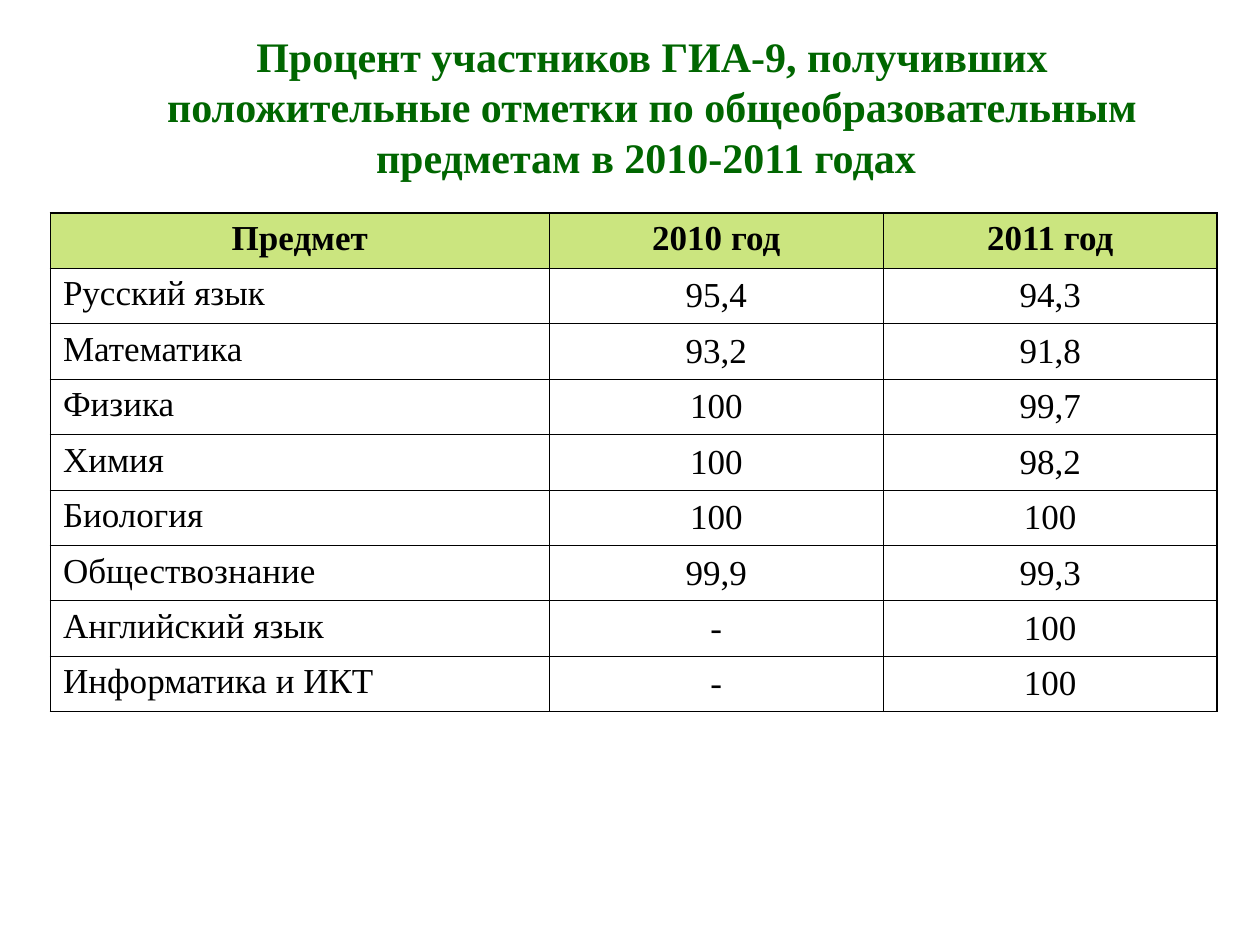
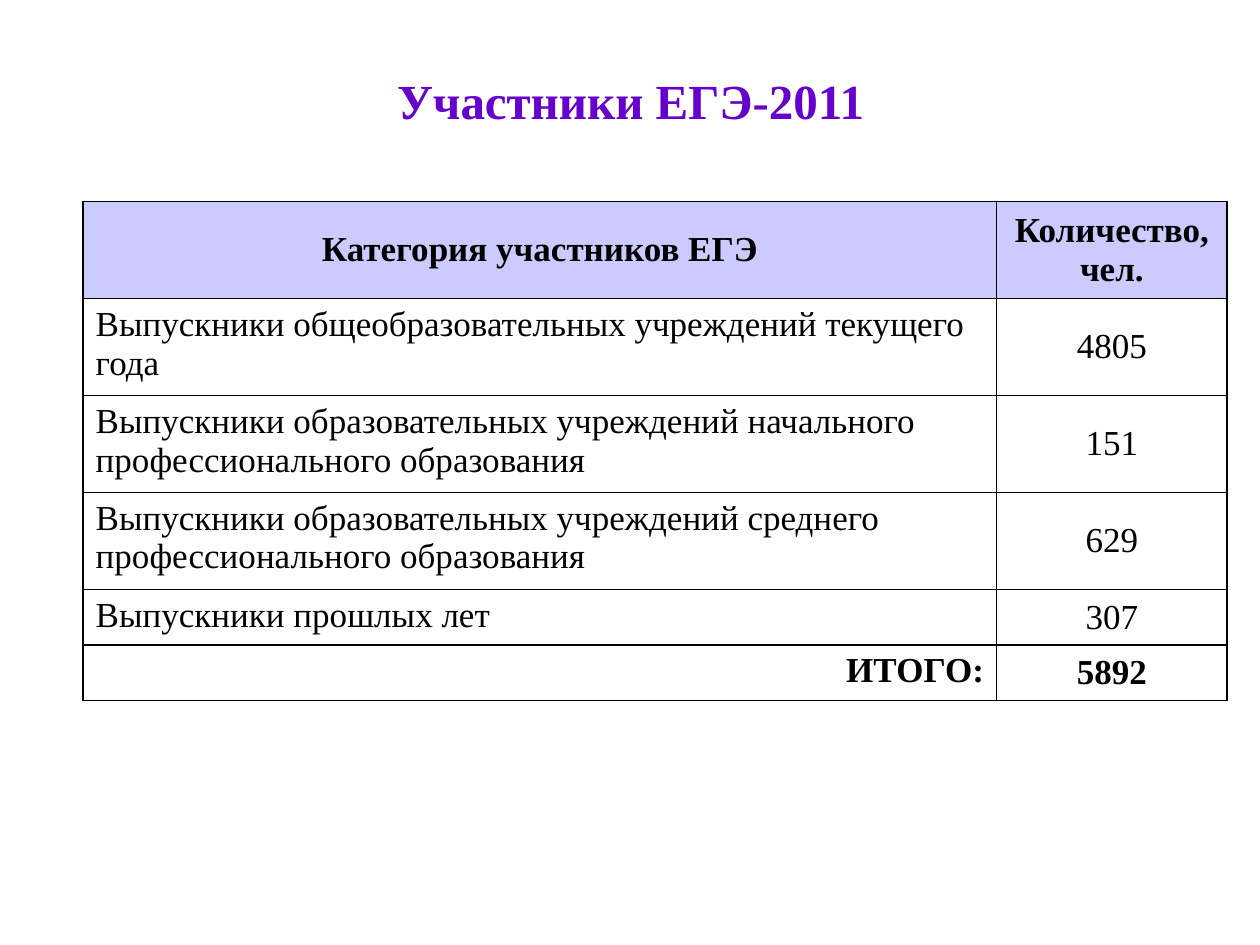
from lxml.etree import SubElement
from pptx import Presentation
from pptx.dml.color import RGBColor
from pptx.enum.text import MSO_ANCHOR, MSO_AUTO_SIZE, PP_ALIGN
from pptx.oxml.ns import qn
from pptx.util import Inches, Pt

SERIF, SANS = "Times New Roman", "DejaVu Sans"
BLACK, GREEN, NAVY, VIOLET = "000000", "006600", "333399", "6600CC"
LIME, LILAC = "99CC00", "9999FF"
THICK, THIN = 0.96, 0.45
LINE = 0.44
TALL = 0.77

MARKS = [
    ("Предмет", "2010 год", "2011 год"),
    ("Русский язык", "95,4", "94,3"),
    ("Математика", "93,2", "91,8"),
    ("Физика", "100", "99,7"),
    ("Химия", "100", "98,2"),
    ("Биология", "100", "100"),
    ("Обществознание", "99,9", "99,3"),
    ("Английский язык", "-", "100"),
    ("Информатика и ИКТ", "-", "100"),
]
COUNTS = [
    ("Категория участников ЕГЭ", "Количество, чел."),
    ("Выпускники общеобразовательных учреждений текущего года", "4805"),
    ("Выпускники образовательных учреждений начального профессионального образования", "151"),
    ("Выпускники образовательных учреждений среднего профессионального образования", "629"),
    ("Выпускники прошлых лет", "307"),
    ("ИТОГО:", "5892"),
]


def color(code):
    """Turn a hex string into a colour."""
    return RGBColor.from_string(code)


def write(para, text, size, tint=BLACK, bold=False, face=SERIF):
    """Add one styled run to a paragraph."""
    run = para.add_run()
    run.text = text
    font = run.font
    font.name, font.size, font.bold = face, Pt(size), bold
    font.color.rgb = color(tint)


def add_title(slide, box, runs, wrap=True):
    """Place a centred title made of styled runs."""
    frame = slide.shapes.add_textbox(*map(Inches, box)).text_frame
    frame.word_wrap = wrap
    frame.auto_size = MSO_AUTO_SIZE.SHAPE_TO_FIT_TEXT
    frame.vertical_anchor = MSO_ANCHOR.MIDDLE
    para = frame.paragraphs[0]
    para.alignment = PP_ALIGN.CENTER
    for run in runs:
        write(para, *run)


def add_edges(cell, edges):
    """Draw the borders of a cell from a map of side to width."""
    props = cell._tc.get_or_add_tcPr()
    for side, width in edges.items():
        line = SubElement(props, qn(f"a:ln{side}"), w=str(Pt(width)))
        fill = SubElement(line, qn("a:solidFill"))
        SubElement(fill, qn("a:srgbClr"), val=BLACK)


def paint(cell, tint):
    """Fill a cell with a half-transparent colour."""
    cell.fill.solid()
    cell.fill.fore_color.rgb = color(tint)
    tone = cell._tc.tcPr.find(f"{qn('a:solidFill')}/{qn('a:srgbClr')}")
    SubElement(tone, qn("a:alpha"), val="50000")


def add_grid(slide, left, top, data, widths, heights, tint,
             anchor=MSO_ANCHOR.TOP, total=False):
    """Place a ruled table with a tinted head and an optional total row."""
    rows, cols = len(data), len(widths)
    box = map(Inches, (left, top, sum(widths), sum(heights)))
    table = slide.shapes.add_table(rows, cols, *box).table
    table.first_row = table.horz_banding = False
    for col, width in zip(table.columns, widths):
        col.width = Inches(width)
    for row, height in zip(table.rows, heights):
        row.height = Inches(height)
    heavy = {0, rows, rows - 1} if total else {0, rows}
    for i, row in enumerate(data):
        head, foot = i == 0, total and i == rows - 1
        for j, text in enumerate(row):
            cell = table.cell(i, j)
            add_edges(cell, {
                "L": THICK if j == 0 else THIN,
                "R": THICK if j == cols - 1 else THIN,
                "T": THICK if i in heavy else THIN,
                "B": THICK if i + 1 in heavy else THIN,
            })
            if head:
                paint(cell, tint)
                cell.vertical_anchor = anchor
            else:
                cell.fill.background()
                cell.vertical_anchor = MSO_ANCHOR.MIDDLE if j else MSO_ANCHOR.TOP
            para = cell.text_frame.paragraphs[0]
            if head or j:
                para.alignment = PP_ALIGN.CENTER
            else:
                para.alignment = PP_ALIGN.RIGHT if foot else PP_ALIGN.LEFT
            write(para, text, 20, bold=head or foot)


def add_marks(slide):
    """Build the slide on passing marks by subject."""
    add_title(slide, (0.84, 0.19, 8.67, 1.3), [
        ("Процент участников ГИА-9, получивших положительные отметки "
         "по общеобразовательным предметам в 2010-2011 годах", 24, GREEN, True),
        (" ", 20, NAVY, True, SANS),
    ])
    add_grid(slide, 0.4, 1.69, MARKS, [3.96, 2.65, 2.65],
             [LINE] * len(MARKS), LIME)


def add_counts(slide):
    """Build the slide on the number of people by category."""
    add_title(slide, (3.04, 0.51, 3.93, 0.57),
              [("Участники ЕГЭ-2011", 28, VIOLET, True)], wrap=False)
    add_grid(slide, 0.66, 1.6, COUNTS, [7.25, 1.83],
             [TALL] * 4 + [LINE] * 2, LILAC, MSO_ANCHOR.MIDDLE, total=True)


def main():
    """Build and save the slides."""
    deck = Presentation()
    deck.slide_width, deck.slide_height = Inches(10), Inches(7.5)
    for build in (add_marks, add_counts):
        build(deck.slides.add_slide(deck.slide_layouts[6]))
    deck.save("out.pptx")


if __name__ == "__main__":
    main()
